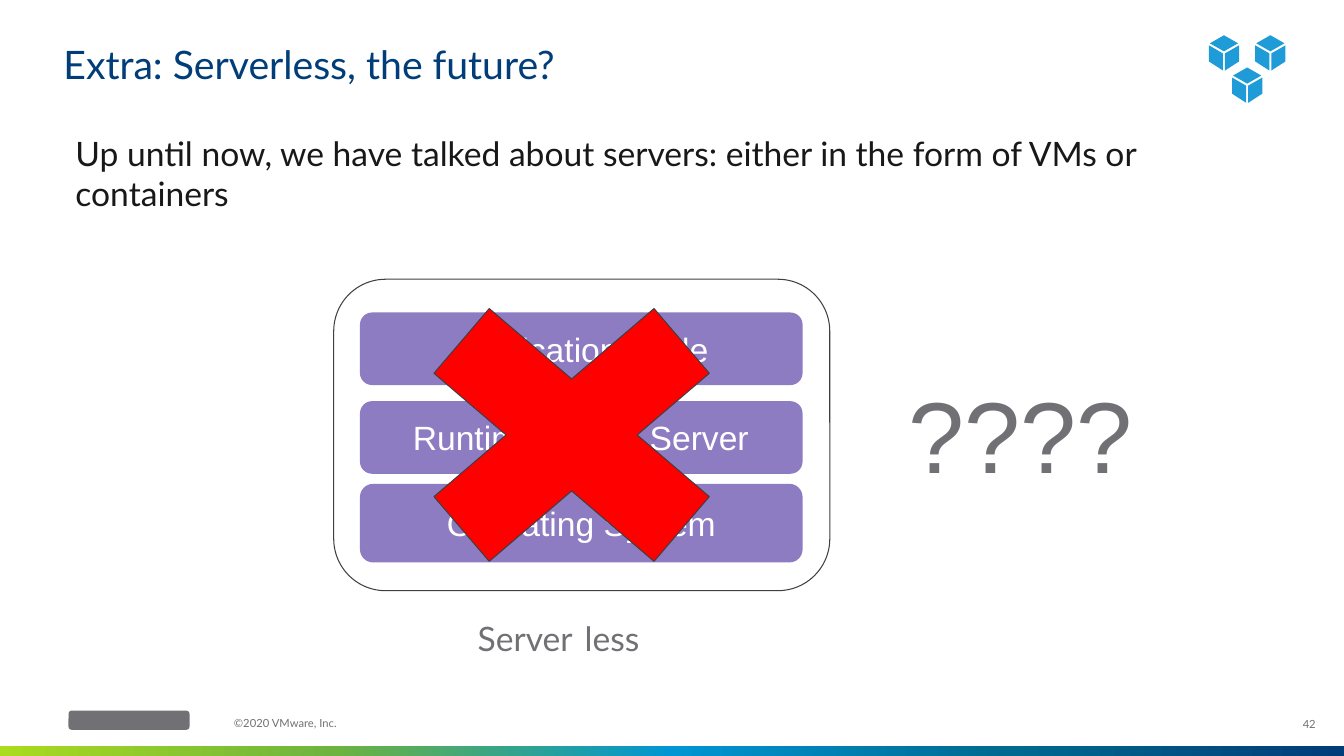
import pptx
import pptx.dml.color
import pptx.enum.shapes
import pptx.enum.text
import pptx.oxml
import pptx.oxml.ns
import pptx.util
from pptx.util import Inches

COLORS = {
    "navy": "003D79",
    "ink": "181818",
    "gray": "717074",
    "outline": "3F3F3F",
    "layer": "8E7CC3",
    "cross": "FF0000",
    "cube": "1F9BD8",
    "white": "FFFFFF",
}
BAND_STOPS = {0: "AADB1E", 25: "6DB33F", 50: "0095D3", 75: "006990", 100: "003D79"}

SHAPES = pptx.enum.shapes.MSO_SHAPE
ALIGN = pptx.enum.text.PP_ALIGN
ANCHOR = pptx.enum.text.MSO_ANCHOR

prs = pptx.Presentation()
prs.slide_width, prs.slide_height = Inches(13.33), Inches(7.5)
slide = prs.slides.add_slide(prs.slide_layouts[6])


def write(box, text, size=24, font="Lato", color="gray", align=ALIGN.LEFT,
          anchor=ANCHOR.TOP, inset=0.1, spacing=1.0, wrap=True):
    frame = box.text_frame
    frame.word_wrap = wrap
    frame.vertical_anchor = anchor
    frame.margin_left = frame.margin_right = Inches(inset)
    frame.margin_top = frame.margin_bottom = Inches(inset)
    paragraph = frame.paragraphs[0]
    paragraph.alignment = align
    paragraph.line_spacing = spacing
    run = paragraph.add_run()
    run.text = text
    run.font.size = pptx.util.Pt(size)
    run.font.name = font
    run.font.color.rgb = pptx.dml.color.RGBColor.from_string(COLORS[color])


def paint(shape, fill=None, line=None):
    """Set fill and line by colour name, None for neither, and drop the shadow."""
    shape.shadow.inherit = False
    for part, color in ((shape.fill, fill), (shape.line.fill, line)):
        if color:
            part.solid()
            part.fore_color.rgb = pptx.dml.color.RGBColor.from_string(COLORS[color])
        else:
            part.background()
    if line:
        shape.line.width = pptx.util.Pt(0.75)


# Footer: gradient band, plain mark, copyright line and page number
band = slide.shapes.add_shape(SHAPES.RECTANGLE, 0, Inches(7.4), prs.slide_width, Inches(0.1))
paint(band)
band.fill.gradient()
band.fill.gradient_angle = 0
stop_list = band.fill._fill._gradFill.find(pptx.oxml.ns.qn("a:gsLst"))
for stop in list(stop_list):
    stop_list.remove(stop)
for percent, color in BAND_STOPS.items():
    stop_list.append(pptx.oxml.parse_xml(
        f'<a:gs {pptx.oxml.ns.nsdecls("a")} pos="{percent * 1000}">'
        f'<a:srgbClr val="{color}"/></a:gs>'))

footer_mark = slide.shapes.add_shape(
    SHAPES.ROUNDED_RECTANGLE, Inches(0.68), Inches(7.05), Inches(1.2), Inches(0.19))
paint(footer_mark, fill="gray")

page_number = slide.shapes.add_textbox(Inches(12.57), Inches(6.99), Inches(0.48), Inches(0.4))
write(page_number, "42", size=8, align=ALIGN.RIGHT, anchor=ANCHOR.MIDDLE, inset=0, spacing=0.9)
copyright_line = slide.shapes.add_textbox(Inches(2.32), Inches(7.12), Inches(2.15), Inches(0.16))
write(copyright_line, "©2020 VMware, Inc.", size=8, inset=0, spacing=0.9)

# Heading and introduction
title = slide.shapes.add_textbox(Inches(0.63), Inches(0.45), Inches(12.03), Inches(0.42))
write(title, "Extra: Serverless, the future?", size=28, color="navy",
      anchor=ANCHOR.BOTTOM, inset=0, spacing=0.9, wrap=False)
intro = slide.shapes.add_textbox(Inches(0.65), Inches(1.22), Inches(11.27), Inches(0.91))
write(intro, "Up until now, we have talked about servers: "
      "either in the form of VMs or containers", color="ink")

# Three cubes, each with a top, a left and a right face measured from its top corner
cube_corners = [(12.14, 0.35), (12.6, 0.35), (12.37, 0.67)]
left_face = [(-0.15, 0.1), (-0.15, 0.26), (-0.01, 0.35), (-0.01, 0.18)]
cube_faces = [
    [(0, 0), (-0.14, 0.08), (0, 0.16), (0.14, 0.08)],
    left_face,
    [(-x, y) for x, y in left_face],
]
outlines = [[(Inches(left + x), Inches(top + y)) for x, y in face]
            for left, top in cube_corners for face in cube_faces]
cubes = slide.shapes.build_freeform(*outlines[0][0])
cubes.add_line_segments(outlines[0][1:])
for outline in outlines[1:]:
    cubes.move_to(*outline[0])
    cubes.add_line_segments(outline[1:])
paint(cubes.convert_to_shape(), fill="cube")

# Server with its layers
server = slide.shapes.add_shape(
    SHAPES.ROUNDED_RECTANGLE, Inches(3.31), Inches(2.77), Inches(4.92), Inches(3.09))
paint(server, line="outline")

layers = [
    ("Application Code", 3.57, 3.1, 4.39, 0.72),
    ("Runtime", 3.57, 3.98, 2.29, 0.72),
    ("Server", 5.91, 3.98, 2.05, 0.72),
    ("Operating System", 3.57, 4.8, 4.39, 0.78),
]
for label, *place in layers:
    layer = slide.shapes.add_shape(SHAPES.ROUNDED_RECTANGLE, *map(Inches, place))
    paint(layer, fill="layer")
    write(layer, label, font="Arial", color="white", align=ALIGN.CENTER, anchor=ANCHOR.MIDDLE)

for word, left, width in (("Server", 4.64, 1.94), ("less", 5.7, 1.28)):
    caption = slide.shapes.add_textbox(Inches(left), Inches(6.03), Inches(width), Inches(0.59))
    write(caption, word)

cross = slide.shapes.add_shape(
    SHAPES.MATH_MULTIPLY, Inches(3.57), Inches(2.52), Inches(4.2), Inches(3.59))
paint(cross, fill="cross", line="outline")

question = slide.shapes.add_textbox(Inches(8.91), Inches(3.6), Inches(2.72), Inches(1.47))
write(question, "????", size=72, font="Arial")

prs.save("out.pptx")
